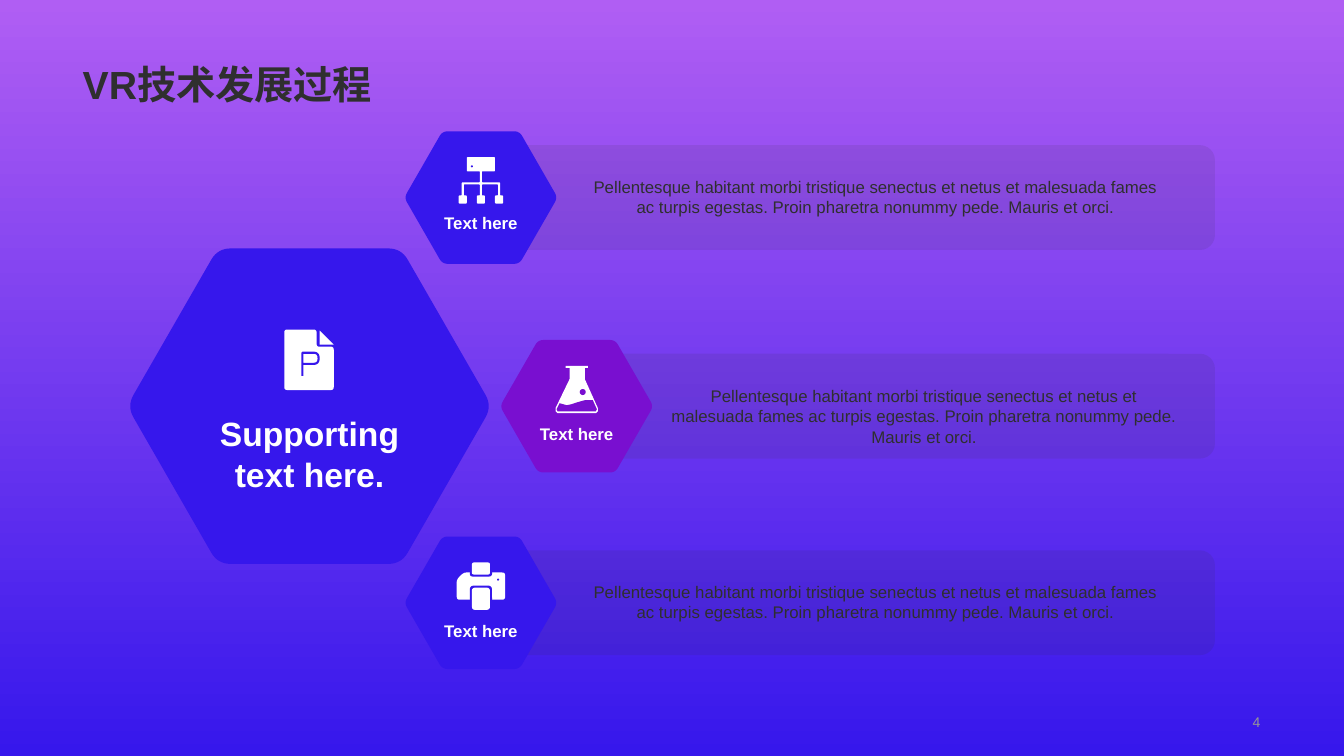
from math import hypot

from lxml.etree import SubElement
from pptx import Presentation
from pptx.dml.color import RGBColor
from pptx.enum.shapes import MSO_SHAPE
from pptx.enum.text import MSO_ANCHOR, MSO_AUTO_SIZE, PP_ALIGN
from pptx.oxml.ns import qn
from pptx.util import Inches, Pt

BLUE = RGBColor(0x36, 0x17, 0xEC)
LILAC = RGBColor(0xB0, 0x5E, 0xF3)
PURPLE = RGBColor(0x79, 0x0F, 0xD0)
DARK = RGBColor(0x2F, 0x2F, 0x2F)
GRAY = RGBColor(0x97, 0x97, 0x97)
WHITE = RGBColor(0xFF, 0xFF, 0xFF)
FONT = "Arial"
BAR_RIGHT = 12.05
DESCRIPTION = (
    "Pellentesque habitant morbi tristique senectus et netus et malesuada fames "
    "ac turpis egestas. Proin pharetra nonummy pede. Mauris et orci."
)


def format_text(text_frame, text, size, color, bold=False, align=PP_ALIGN.CENTER):
    text_frame.text = text
    text_frame.word_wrap = True
    text_frame.auto_size = MSO_AUTO_SIZE.NONE
    paragraph = text_frame.paragraphs[0]
    paragraph.alignment = align
    font = paragraph.runs[0].font
    font.name, font.size, font.bold = FONT, Pt(size), bold
    font.color.rgb = color


def add_text(slide, box, text, size, color, bold=False,
             align=PP_ALIGN.CENTER, anchor=MSO_ANCHOR.TOP):
    text_frame = slide.shapes.add_textbox(*map(Inches, box)).text_frame
    format_text(text_frame, text, size, color, bold, align)
    text_frame.vertical_anchor = anchor
    return text_frame


def paint(shape, color):
    shape.shadow.inherit = False
    shape.fill.solid()
    shape.fill.fore_color.rgb = color
    shape.line.fill.background()


def add_block(slide, kind, box, color, rounding=None):
    shape = slide.shapes.add_shape(kind, *map(Inches, box))
    paint(shape, color)
    if rounding is not None:
        shape.adjustments[0] = rounding
    return shape


def add_outline(slide, points, close=True):
    points = [(Inches(x), Inches(y)) for x, y in points]
    builder = slide.shapes.build_freeform(*points[0])
    builder.add_line_segments(points[1:], close=close)
    return builder.convert_to_shape()


def add_polygon(slide, points, color):
    paint(add_outline(slide, points), color)


def add_stroke(slide, points, color, width):
    shape = add_outline(slide, points, close=False)
    shape.shadow.inherit = False
    shape.fill.background()
    shape.line.color.rgb = color
    shape.line.width = Pt(width)


def round_corners(points, cut, steps=8):
    """Replace every corner by a quadratic curve that starts `cut` before it."""
    def toward(start, end):
        ratio = cut / hypot(end[0] - start[0], end[1] - start[1])
        return [a + (b - a) * ratio for a, b in zip(start, end)]

    rounded = []
    for index, corner in enumerate(points):
        first = toward(corner, points[index - 1])
        last = toward(corner, points[(index + 1) % len(points)])
        for step in range(steps + 1):
            t = step / steps
            rounded.append(tuple(
                (1 - t) ** 2 * a + 2 * t * (1 - t) * b + t ** 2 * c
                for a, b, c in zip(first, corner, last)))
    return rounded


def add_hexagon(slide, x, y, color, scale=1.0):
    outer, inner, half = 1.81 * scale, 0.91 * scale, 1.565 * scale
    corners = [(x - outer, y), (x - inner, y - half), (x + inner, y - half),
               (x + outer, y), (x + inner, y + half), (x - inner, y + half)]
    add_polygon(slide, round_corners(corners, 0.13 * scale), color)


def add_bar(slide, left, top):
    bar = add_block(slide, MSO_SHAPE.ROUNDED_RECTANGLE,
                    (left, top, BAR_RIGHT - left, 1.04), DARK, 0.143)
    color = bar.fill._xPr.find(qn("a:solidFill"))[0]
    SubElement(color, qn("a:alpha")).set("val", "10000")


# Icons, each placed around the centre line x of its hexagon
def draw_document(slide, x, y, color):
    page = [(x - 0.25, y), (x + 0.07, y), (x + 0.07, y + 0.17),
            (x + 0.24, y + 0.17), (x + 0.24, y + 0.6), (x - 0.25, y + 0.6)]
    add_polygon(slide, round_corners(page, 0.03), WHITE)
    add_polygon(slide, [(x + 0.1, y + 0.01), (x + 0.24, y + 0.15), (x + 0.1, y + 0.15)], WHITE)
    # Letter P: stem and bowl
    bowl = round_corners([(x - 0.07, y + 0.23), (x + 0.09, y + 0.23),
                          (x + 0.09, y + 0.34), (x - 0.07, y + 0.34)], 0.05)[9:27]
    add_stroke(slide, [(x - 0.07, y + 0.46), (x - 0.07, y + 0.23), *bowl,
                       (x - 0.07, y + 0.34)], color, 1.5)


def draw_hierarchy(slide, x, y, color):
    # Right half of the tree, from the top box down to the middle node
    half = [(0.14, 0), (0.14, 0.14), (0.01, 0.14), (0.01, 0.25), (0.19, 0.25),
            (0.19, 0.38), (0.22, 0.38), (0.22, 0.46), (0.14, 0.46), (0.14, 0.38),
            (0.17, 0.38), (0.17, 0.27), (0.01, 0.27), (0.01, 0.38),
            (0.04, 0.38), (0.04, 0.46)]
    tree = half + [(-shift, drop) for shift, drop in reversed(half)]
    points = [(x + shift, y + drop) for shift, drop in tree]
    add_polygon(slide, round_corners(points, 0.01), WHITE)
    add_block(slide, MSO_SHAPE.OVAL, (x - 0.1, y + 0.08, 0.02, 0.02), color)


def draw_flask(slide, x, y, color):
    add_polygon(slide, [(x - 0.11, y), (x + 0.11, y), (x + 0.11, y + 0.02),
                        (x + 0.08, y + 0.02), (x + 0.08, y + 0.13), (x + 0.21, y + 0.42),
                        (x + 0.21, y + 0.45), (x + 0.19, y + 0.47), (x - 0.19, y + 0.47),
                        (x - 0.21, y + 0.45), (x - 0.21, y + 0.42), (x - 0.07, y + 0.13),
                        (x - 0.07, y + 0.02), (x - 0.11, y + 0.02)], WHITE)
    # Liquid with a wavy surface, and a bubble
    add_polygon(slide, [(x - 0.17, y + 0.37), (x - 0.1, y + 0.39), (x - 0.05, y + 0.38),
                        (x + 0.01, y + 0.36), (x + 0.08, y + 0.34), (x + 0.16, y + 0.34),
                        (x + 0.2, y + 0.43), (x + 0.19, y + 0.45), (x - 0.19, y + 0.45),
                        (x - 0.2, y + 0.43)], color)
    add_block(slide, MSO_SHAPE.OVAL, (x + 0.03, y + 0.23, 0.06, 0.06), color)


def draw_printer(slide, x, y, color):
    body = [(x - 0.24, y + 0.17), (x - 0.17, y + 0.1), (x + 0.24, y + 0.1),
            (x + 0.24, y + 0.37), (x - 0.24, y + 0.37)]
    add_polygon(slide, round_corners(body, 0.03), WHITE)
    # Paper above and below, each with a gap around it
    for top, height in ((0, 0.12), (0.25, 0.22)):
        for margin, shade in ((0.02, color), (0, WHITE)):
            add_block(slide, MSO_SHAPE.ROUNDED_RECTANGLE,
                      (x - 0.09 - margin, y + top - margin,
                       0.18 + 2 * margin, height + 2 * margin), shade, 0.16)
    add_block(slide, MSO_SHAPE.OVAL, (x + 0.16, y + 0.16, 0.02, 0.02), color)


def add_row(slide, x, y, color, bar_left, text_box, label_top, draw_icon):
    add_bar(slide, bar_left, y - 0.52)
    add_text(slide, text_box, DESCRIPTION, 12, DARK)
    add_hexagon(slide, x, y, color, 0.42)
    draw_icon(slide, x, y - 0.4, color)
    label = add_text(slide, (x - 0.54, label_top, 1.08, 0.44), "Text here", 12, WHITE,
                     bold=True, anchor=MSO_ANCHOR.BOTTOM)
    label.margin_left = label.margin_right = Inches(0.12)
    label.margin_top = label.margin_bottom = Inches(0.12)


def set_background(slide):
    fill = slide.background.fill
    fill.gradient()
    fill.gradient_angle = 90
    for stop, color, position in zip(fill.gradient_stops, (BLUE, LILAC), (0, 1)):
        stop.color.rgb, stop.position = color, position


def set_title(slide, text):
    title = slide.shapes.title
    title.left, title.top = Inches(0.72), Inches(0)
    title.width, title.height = Inches(11.88), Inches(1.12)
    format_text(title.text_frame, text, 28, DARK, True, PP_ALIGN.LEFT)
    title.text_frame.vertical_anchor = MSO_ANCHOR.BOTTOM
    title.text_frame.paragraphs[0].line_spacing = 0.9


def main():
    presentation = Presentation()
    presentation.slide_width, presentation.slide_height = Inches(13.33), Inches(7.5)
    slide = presentation.slides.add_slide(presentation.slide_layouts[5])
    set_background(slide)
    set_title(slide, "VR技术发展过程")
    add_text(slide, (9.69, 7.04, 2.91, 0.24), "4", 10, GRAY,
             align=PP_ALIGN.RIGHT, anchor=MSO_ANCHOR.MIDDLE)

    # Main hexagon
    add_hexagon(slide, 3.07, 4.03, BLUE)
    add_text(slide, (1.94, 4.05, 2.26, 0.91), "Supporting text here.", 24, WHITE, bold=True)
    draw_document(slide, 3.07, 3.27, BLUE)

    # Three rows
    add_row(slide, 4.77, 1.96, BLUE, 4.56, (5.73, 1.7, 5.91, 0.5), 1.99, draw_hierarchy)
    add_row(slide, 5.72, 4.03, PURPLE, 5.6, (6.56, 3.78, 5.21, 0.5), 4.08, draw_flask)
    add_row(slide, 4.77, 5.98, BLUE, 4.56, (5.73, 5.72, 5.91, 0.5), 6.04, draw_printer)
    presentation.save("out.pptx")


if __name__ == "__main__":
    main()
